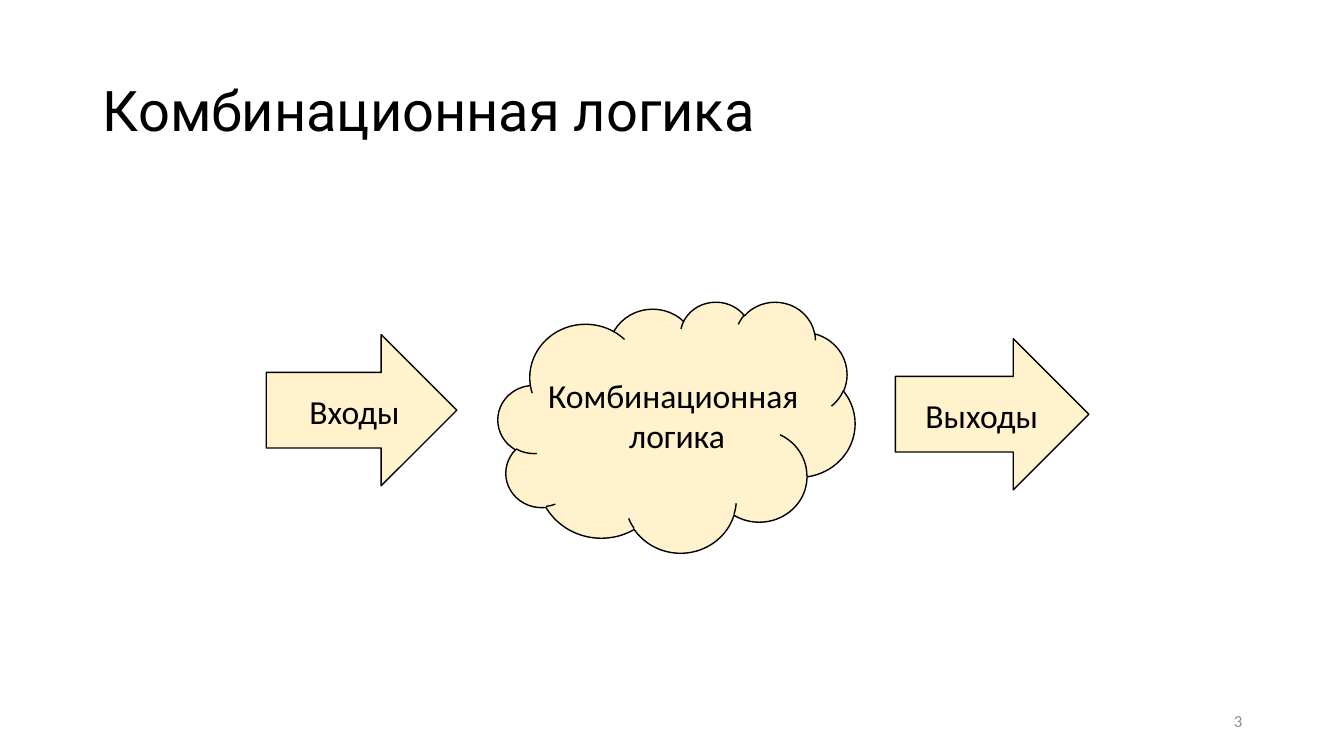
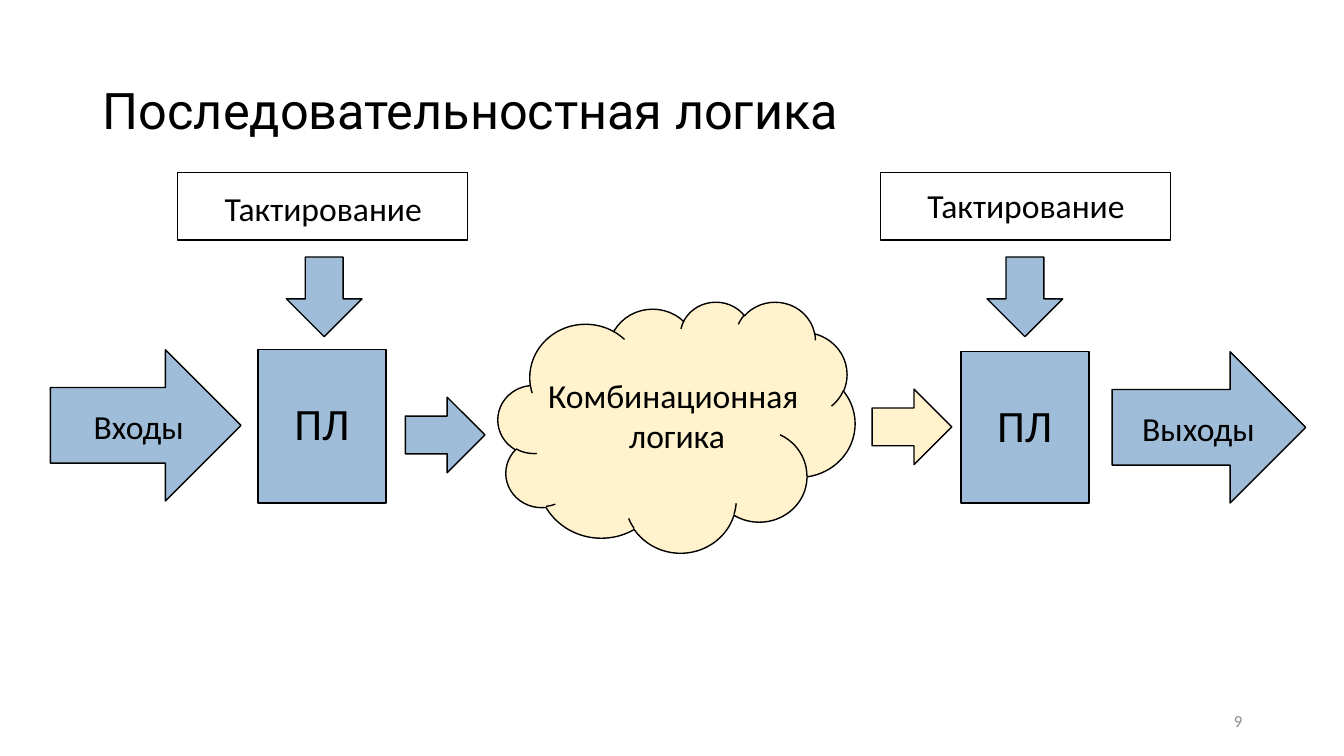
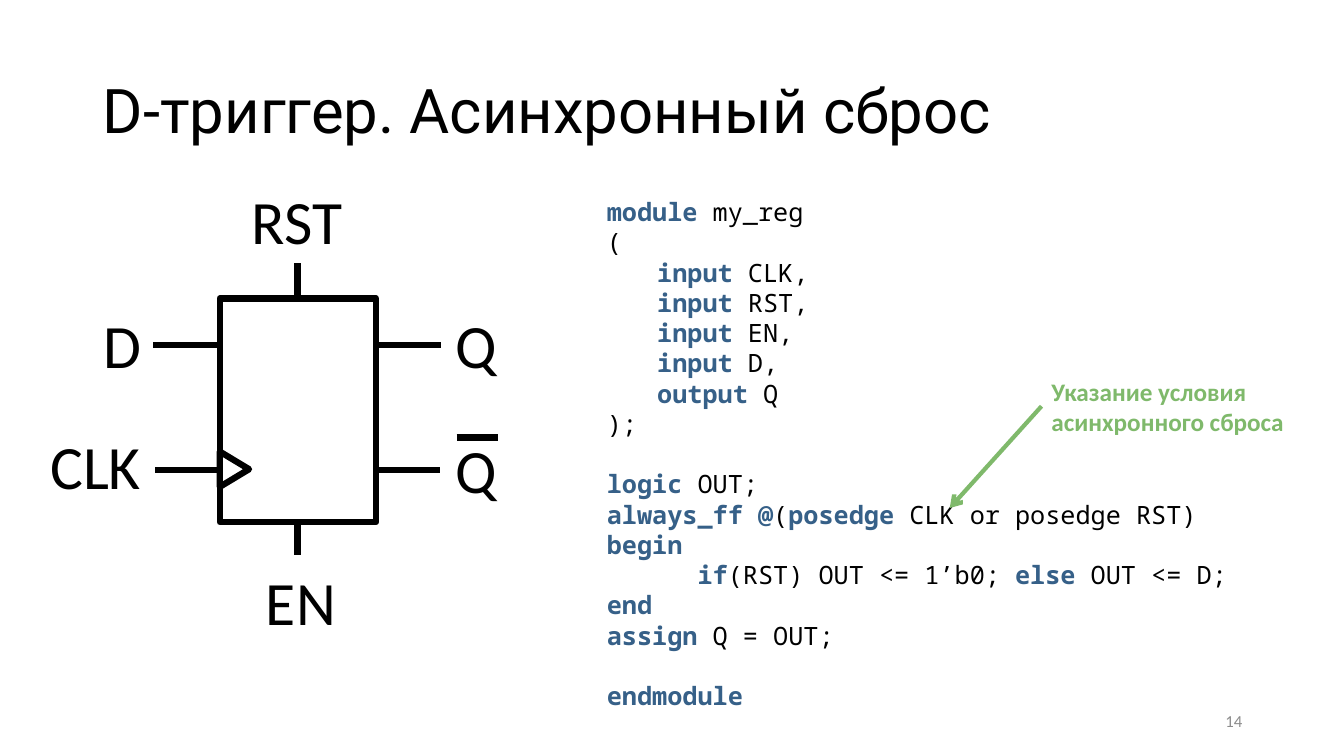
from lxml.etree import SubElement
from pptx import Presentation
from pptx.dml.color import RGBColor
from pptx.enum.shapes import MSO_CONNECTOR, MSO_SHAPE
from pptx.enum.text import MSO_ANCHOR, MSO_AUTO_SIZE, PP_ALIGN
from pptx.oxml.ns import qn
from pptx.util import Inches, Pt

BLACK, GREY, BLUE, CREAM = "000000", "8C8C8C", "9FBDD9", "FFF2CC"
KEYWORD, GREEN = "366088", "7FB96B"
BODY_FONT, TITLE_FONT, CODE_FONT = "Calibri", "Roboto", "Noto Sans Mono"
TITLE_AREA = (0.92, 0.4, 11.5, 1.45)
NUMBER_AREA = (9.42, 6.95, 3, 0.4)
CLOUD_AREA = (4.94, 2.99, 3.54, 2.49)
CLOUD_LABEL = (5.32, 3.67, 2.79, 0.91)
ARROW_HEIGHT = 1.5
SMALL_ARROW = (0.79, 0.75)
INPUTS = ("Входы", 1.89, 0.33, 1.1)
OUTPUTS = ("Выходы", 1.92, 0.2, 1.33)

STAGES = [
    {"left": 2.56, "top": 3.47, "height": 1.52, "clock_top": 1.82, "down_arrow": 2.82},
    {"left": 9.53, "top": 3.49, "height": 1.5, "clock_top": 1.79, "down_arrow": 9.77},
]

PIN_LABELS = [
    ("D", 0.93, 3, 0.58), ("CLK", 0.4, 4.2, 1.11),
    ("Q", 4.42, 3, 0.62), ("Q", 4.42, 4.24, 0.62),
    ("RST", 2.4, 1.77, 1.11), ("EN", 2.54, 5.55, 0.9),
]
PIN_WIRES = [
    (1.52, 3.42, 2.18, 3.42), (1.54, 4.66, 2.2, 4.66),
    (3.71, 3.42, 4.37, 3.42), (3.7, 4.66, 4.36, 4.66),
    (2.95, 2.61, 2.95, 2.94), (2.95, 5.18, 2.95, 5.51),
    (4.53, 4.34, 4.94, 4.34),
]
CODE_BLOCKS = [
    ["|module |my_reg", "(", "\t|input| CLK,", "\t|input| RST,", "\t|input| EN,",
     "\t|input| D,", "\t|output |Q", ");"],
    ["|logic |OUT;", "|always_ff @|(|posedge |CLK or posedge RST) |begin",
     "      |if|(RST) OUT <= 1’b0; |else |OUT <= D;", "|end", "|assign |Q = OUT;"],
    ["|endmodule"],
]


def color(value):
    return RGBColor.from_string(value)


def style(para, size, font=BODY_FONT, fill=BLACK, bold=False):
    para.font.size, para.font.name, para.font.bold = Pt(size), font, bold
    para.font.color.rgb = color(fill)


def area(left, top, width, height):
    return [Inches(value) for value in (left, top, width, height)]


def add_page(deck, title, size, number):
    page = deck.slides.add_slide(deck.slide_layouts[5])
    frame = page.shapes.title.text_frame
    frame.text = title
    frame.auto_size = MSO_AUTO_SIZE.NONE
    frame.vertical_anchor = MSO_ANCHOR.MIDDLE
    para = frame.paragraphs[0]
    para.alignment, para.line_spacing = PP_ALIGN.LEFT, 0.9
    style(para, size, TITLE_FONT)
    frame = add_text(page, number, NUMBER_AREA, 12, fill=GREY, align=PP_ALIGN.RIGHT, wrap=True)
    frame.auto_size = MSO_AUTO_SIZE.NONE
    frame.vertical_anchor = MSO_ANCHOR.MIDDLE
    return page


def add_text(page, text, place, size, fill=BLACK, bold=False, align=PP_ALIGN.LEFT, wrap=False):
    frame = page.shapes.add_textbox(*area(*place)).text_frame
    frame.word_wrap, frame.auto_size = wrap, MSO_AUTO_SIZE.SHAPE_TO_FIT_TEXT
    para = frame.paragraphs[0]
    para.text, para.alignment = text, align
    style(para, size, fill=fill, bold=bold)
    return frame


def add_block(page, kind, place, fill=None, width=1, turn=0):
    shape = page.shapes.add_shape(kind, *area(*place))
    shape.shadow.inherit = False
    shape.rotation = turn
    if fill:
        shape.fill.solid()
        shape.fill.fore_color.rgb = color(fill)
    else:
        shape.fill.background()
    shape.line.color.rgb, shape.line.width = color(BLACK), Pt(width)


def add_line(page, ends, fill=BLACK, width=4.5, arrow=False):
    line = page.shapes.add_connector(MSO_CONNECTOR.STRAIGHT, *area(*ends))
    line.line.color.rgb, line.line.width = color(fill), Pt(width)
    if arrow:
        SubElement(line.line._get_or_add_ln(), qn("a:tailEnd"), type="arrow")
    SubElement(line._element.spPr, qn("a:effectLst"))


def add_port(page, port, left, top, fill):
    text, width, indent, text_width = port
    add_block(page, MSO_SHAPE.RIGHT_ARROW, (left, top, width, ARROW_HEIGHT), fill)
    add_text(page, text, (left + indent, top + 0.51, text_width, 0.5), 24)


def add_cloud(page):
    add_block(page, MSO_SHAPE.CLOUD, CLOUD_AREA, CREAM)
    add_text(page, "Комбинационная \vлогика", CLOUD_LABEL, 24, align=PP_ALIGN.CENTER)


def add_stage(page, left, top, height, clock_top, down_arrow):
    add_block(page, MSO_SHAPE.RECTANGLE, (left, top, 1.27, height), BLUE)
    add_text(page, "ПЛ", (left + 0.26, top + 0.41, 0.75, 0.64), 32)
    add_block(page, MSO_SHAPE.RIGHT_ARROW, (down_arrow, 2.57, *SMALL_ARROW), BLUE, turn=90)
    add_block(page, MSO_SHAPE.RECTANGLE, (left - 0.8, 1.71, 2.88, 0.67))
    add_text(page, "Тактирование", (left - 0.43, clock_top, 2.18, 0.5), 24)


def add_code(page):
    frame = page.shapes.add_textbox(*area(5.92, 1.9, 6.67, 4.95)).text_frame
    frame.word_wrap = True
    para = None
    for block in CODE_BLOCKS:
        for row, line in enumerate(block):
            first = para is None
            para = frame.paragraphs[0] if first else frame.add_paragraph()
            style(para, 18, CODE_FONT)
            if row == 0 and not first:
                para.space_before = Pt(21.6)
            for index, piece in enumerate(line.split("|")):
                if piece:
                    span = para.add_run()
                    span.text = piece
                    if index % 2:
                        span.font.bold = True
                        span.font.color.rgb = color(KEYWORD)


def combinational(deck):
    page = add_page(deck, "Комбинационная логика", 40, "3")
    add_port(page, INPUTS, 2.64, 3.32, CREAM)
    add_port(page, OUTPUTS, 8.88, 3.36, CREAM)
    add_cloud(page)


def sequential(deck):
    page = add_page(deck, "Последовательностная логика", 36, "9")
    add_port(page, INPUTS, 0.5, 3.47, BLUE)
    add_port(page, OUTPUTS, 11.03, 3.49, BLUE)
    for stage in STAGES:
        add_stage(page, **stage)
    for left, top, fill in [(4.02, 3.94, BLUE), (8.65, 3.86, CREAM)]:
        add_block(page, MSO_SHAPE.RIGHT_ARROW, (left, top, *SMALL_ARROW), fill)
    add_cloud(page)


def flip_flop(deck):
    page = add_page(deck, "D-триггер. Асинхронный сброс", 44, "14")
    add_block(page, MSO_SHAPE.RECTANGLE, (2.18, 2.96, 1.55, 2.22), width=4.5)
    add_block(page, MSO_SHAPE.ISOSCELES_TRIANGLE, (2.15, 4.51, 0.35, 0.29), width=4.5, turn=90)
    for ends in PIN_WIRES:
        add_line(page, ends)
    for text, left, top, width in PIN_LABELS:
        add_text(page, text, (left, top, width, 0.84), 44)
    add_code(page)
    add_text(page, "Указание условия асинхронного сброса", (10.33, 3.68, 2.61, 0.71), 18,
             GREEN, bold=True, wrap=True)
    add_line(page, (10.33, 4.03, 9.42, 5.04), GREEN, 3, arrow=True)


def main():
    deck = Presentation()
    deck.slide_width, deck.slide_height = Inches(13.33), Inches(7.5)
    title = deck.slide_layouts[5].placeholders[0]
    title.left, title.top, title.width, title.height = area(*TITLE_AREA)
    combinational(deck)
    sequential(deck)
    flip_flop(deck)
    deck.save("out.pptx")


if __name__ == "__main__":
    main()
